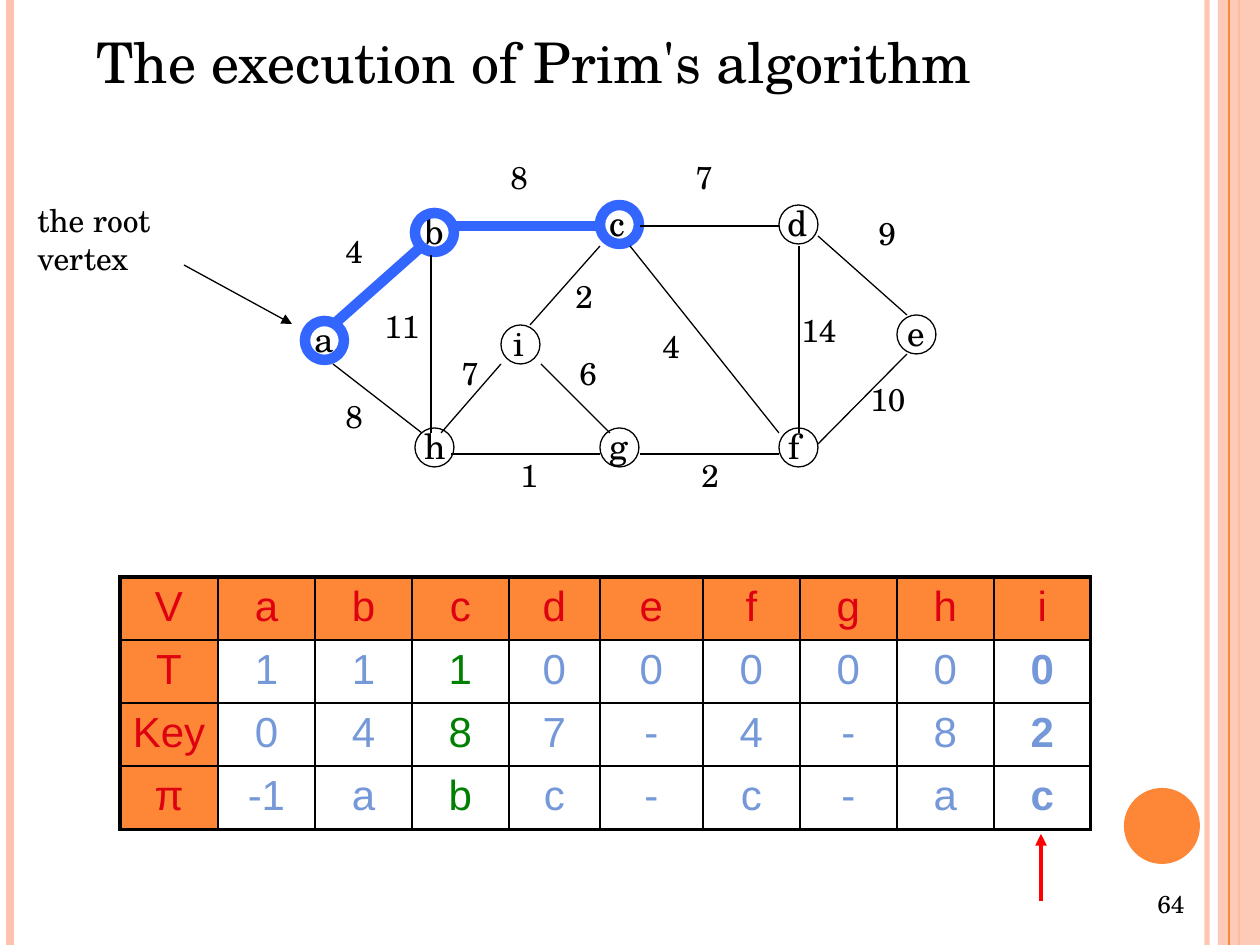
from dataclasses import dataclass

from lxml import etree
from pptx import Presentation
from pptx import util as u
from pptx.dml import color
from pptx.enum import shapes, text
from pptx.oxml import ns


@dataclass(frozen=True)
class Theme:
    serif: str = "TeX Gyre Schola"
    sans: str = "Arial"
    black: str = "000000"
    orange: str = "FE8637"
    peach: str = "FEC3AE"
    tree: str = "3366FF"
    heading: str = "DD0111"
    value: str = "7598D9"
    latest: str = "008000"
    pointer: str = "FF0000"
    title: int = 32
    cell: int = 24
    node: int = 20
    body: int = 18
    number: int = 14
    thin: float = 0.75
    thick: float = 6
    grid: float = 1
    frame: float = 2.25


THEME = Theme()
SCALE = 914400 / 126

NODES = [
    ("a", 305, 321, 302, 45, True),
    ("b", 415, 213, 412, 45, True),
    ("c", 600, 205, 597, 43, True),
    ("d", 779, 205, 775, 45, False),
    ("e", 897, 315, 895, 45, False),
    ("f", 779, 428, 776, 35, False),
    ("g", 600, 428, 597, 45, False),
    ("h", 415, 428, 412, 45, False),
    ("i", 501, 325, 501, 35, False),
]

EDGES = [
    ((333, 325), (422, 246), "4", (333, 226), True),
    ((333, 364), (422, 433), "8", (333, 391), False),
    ((431, 255), (431, 433), "11", (372, 301), False),
    ((451, 226), (600, 226), "8", (498, 152), True),
    ((451, 454), (600, 454), "1", (508, 450), False),
    ((640, 454), (779, 454), "2", (689, 450), False),
    ((630, 246), (779, 433), "4", (650, 321), False),
    ((640, 226), (779, 226), "7", (683, 152), False),
    ((799, 246), (799, 433), "14", (789, 305), False),
    ((818, 236), (907, 315), "9", (866, 208), False),
    ((818, 444), (907, 354), "10", (858, 374), False),
    ((541, 364), (610, 433), "6", (567, 348), False),
    ((441, 433), (501, 364), "7", (449, 348), False),
    ((530, 325), (600, 246), "2", (563, 271), False),
]

ROWS = [
    ["V", "a", "b", "c", "d", "e", "f", "g", "h", "i"],
    ["T", "1", "1", "1", "0", "0", "0", "0", "0", "0"],
    ["Key", "0", "4", "8", "7", "-", "4", "-", "8", "2"],
    ["π", "-1", "a", "b", "c", "-", "c", "-", "a", "c"],
]
COLUMN_WIDTHS = [98, 97, 97, 97, 91, 103, 97, 97, 97, 97]
ROW_HEIGHT = 63
LATEST_COLUMN = 3


def px(length):
    return u.Emu(round(length * SCALE))


def rgb(value):
    return color.RGBColor.from_string(value)


def write(frame, content, size=THEME.body, font=THEME.serif, ink=THEME.black,
          bold=False, align=text.PP_ALIGN.LEFT):
    frame.text = content
    paragraph = frame.paragraphs[0]
    paragraph.alignment = align
    paragraph.font.size = u.Pt(size)
    paragraph.font.name = font
    paragraph.font.bold = bold
    paragraph.font.color.rgb = rgb(ink)


def set_alpha(properties, percent):
    ink = properties.find(".//" + ns.qn("a:srgbClr"))
    etree.SubElement(ink, ns.qn("a:alpha"), val=str(percent * 1000))


class SlideBuilder:
    def __init__(self, slide, theme):
        self.slide = slide
        self.theme = theme

    def title(self, content, left, top, width, height):
        shape = self.slide.shapes.title
        shape.left, shape.top, shape.width, shape.height = map(px, (left, top, width, height))
        frame = shape.text_frame
        frame.auto_size = text.MSO_AUTO_SIZE.NONE
        frame.vertical_anchor = text.MSO_ANCHOR.TOP
        write(frame, content, size=self.theme.title)

    def label(self, content, left, top, width, height, wrap=False,
              anchor=text.MSO_ANCHOR.TOP, **style):
        shape = self.slide.shapes.add_textbox(*map(px, (left, top, width, height)))
        shape.text_frame.word_wrap = wrap
        shape.text_frame.vertical_anchor = anchor
        write(shape.text_frame, content, **style)

    def block(self, kind, left, top, width, height, fill=None, line=None, weight=1, alpha=100):
        shape = self.slide.shapes.add_shape(kind, *map(px, (left, top, width, height)))
        shape.shadow.inherit = False
        if fill:
            shape.fill.solid()
            shape.fill.fore_color.rgb = rgb(fill)
        else:
            shape.fill.background()
        if line:
            shape.line.color.rgb = rgb(line)
            shape.line.width = u.Pt(weight)
        else:
            shape.line.fill.background()
        if alpha < 100:
            set_alpha(shape.fill._xPr, alpha)

    def line(self, start, end, ink=THEME.black, weight=THEME.thin, arrow=False, alpha=100):
        connector = self.slide.shapes.add_connector(
            shapes.MSO_CONNECTOR.STRAIGHT, *map(px, start + end))
        connector.line.color.rgb = rgb(ink)
        connector.line.width = u.Pt(weight)
        properties = connector.line._get_or_add_ln()
        if alpha < 100:
            set_alpha(properties, alpha)
        if arrow:
            etree.SubElement(properties, ns.qn("a:tailEnd"), type="triangle")
        etree.SubElement(connector._element.spPr, ns.qn("a:effectLst"))

    def borders(self, cell, widths):
        properties = cell._tc.get_or_add_tcPr()
        for side, width in zip("LRTB", widths):
            border = etree.SubElement(properties, ns.qn("a:ln" + side), w=str(u.Pt(width)))
            fill = etree.SubElement(border, ns.qn("a:solidFill"))
            etree.SubElement(fill, ns.qn("a:srgbClr"), val=self.theme.black)

    def table(self, rows, left, top, widths, row_height):
        theme = self.theme
        last_row, last_column = len(rows) - 1, len(widths) - 1
        table = self.slide.shapes.add_table(
            len(rows), len(widths), px(left), px(top),
            px(sum(widths)), px(row_height * len(rows))).table
        table.first_row = table.horz_banding = False
        for column, width in zip(table.columns, widths):
            column.width = px(width)
        for r, values in enumerate(rows):
            table.rows[r].height = px(row_height)
            for c, value in enumerate(values):
                cell = table.cell(r, c)
                cell.margin_left = cell.margin_right = px(9)
                outer = (c == 0, c == last_column, r == 0, r == last_row)
                self.borders(cell, [theme.frame if edge else theme.grid for edge in outer])
                heading = r == 0 or c == 0
                if heading:
                    cell.fill.solid()
                    cell.fill.fore_color.rgb = rgb(theme.orange)
                    ink = theme.heading
                else:
                    cell.fill.background()
                    ink = theme.latest if c == LATEST_COLUMN else theme.value
                write(cell.text_frame, value, size=theme.cell, font=theme.sans, ink=ink,
                      bold=c == last_column and not heading, align=text.PP_ALIGN.CENTER)

    def node(self, name, left, top, text_left, text_width, in_tree):
        theme = self.theme
        self.label(name, text_left, top - 10, text_width, 54, size=theme.node)
        self.block(shapes.MSO_SHAPE.OVAL, left, top, 39, 39,
                   line=theme.tree if in_tree else theme.black,
                   weight=theme.thick if in_tree else theme.thin)

    def edge(self, start, end, weight, place, in_tree):
        theme = self.theme
        self.line(start, end, theme.tree if in_tree else theme.black,
                  theme.thick if in_tree else theme.thin)
        self.label(weight, *place, 43 if len(weight) == 1 else 60, 50)

    def decoration(self):
        theme = self.theme
        self.line((1207, 0), (1207, 945), theme.peach, 3, alpha=93)
        self.line((10, 0), (10, 945), theme.peach, 4.5)
        self.line((1239, 0), (1239, 945), theme.orange, 1.5)
        self.block(shapes.MSO_SHAPE.RECTANGLE, 1218, 0, 42, 945, fill=theme.peach, alpha=87)
        self.line((1229, 0), (1229, 945), theme.orange, theme.thin)
        self.block(shapes.MSO_SHAPE.OVAL, 1124, 788, 76, 76, fill=theme.orange)


def main():
    presentation = Presentation()
    presentation.slide_width, presentation.slide_height = px(1260), px(945)
    slide = presentation.slides.add_slide(presentation.slide_layouts[5])
    builder = SlideBuilder(slide, THEME)
    builder.decoration()
    builder.title("The execution of Prim's algorithm", 84, 21, 1081, 79)
    builder.label("64", 903, 882, 294, 44, wrap=True, anchor=text.MSO_ANCHOR.MIDDLE,
                  size=THEME.number, align=text.PP_ALIGN.RIGHT)
    builder.label("the root vertex", 25, 195, 169, 113, wrap=True)
    builder.line((184, 265), (292, 324), arrow=True)
    builder.table(ROWS, 120, 577, COLUMN_WIDTHS, ROW_HEIGHT)
    for node in NODES:
        builder.node(*node)
    for edge in EDGES:
        builder.edge(*edge)
    builder.line((1041, 901), (1041, 834), THEME.pointer, THEME.frame, arrow=True)
    presentation.save("out.pptx")


if __name__ == "__main__":
    main()
